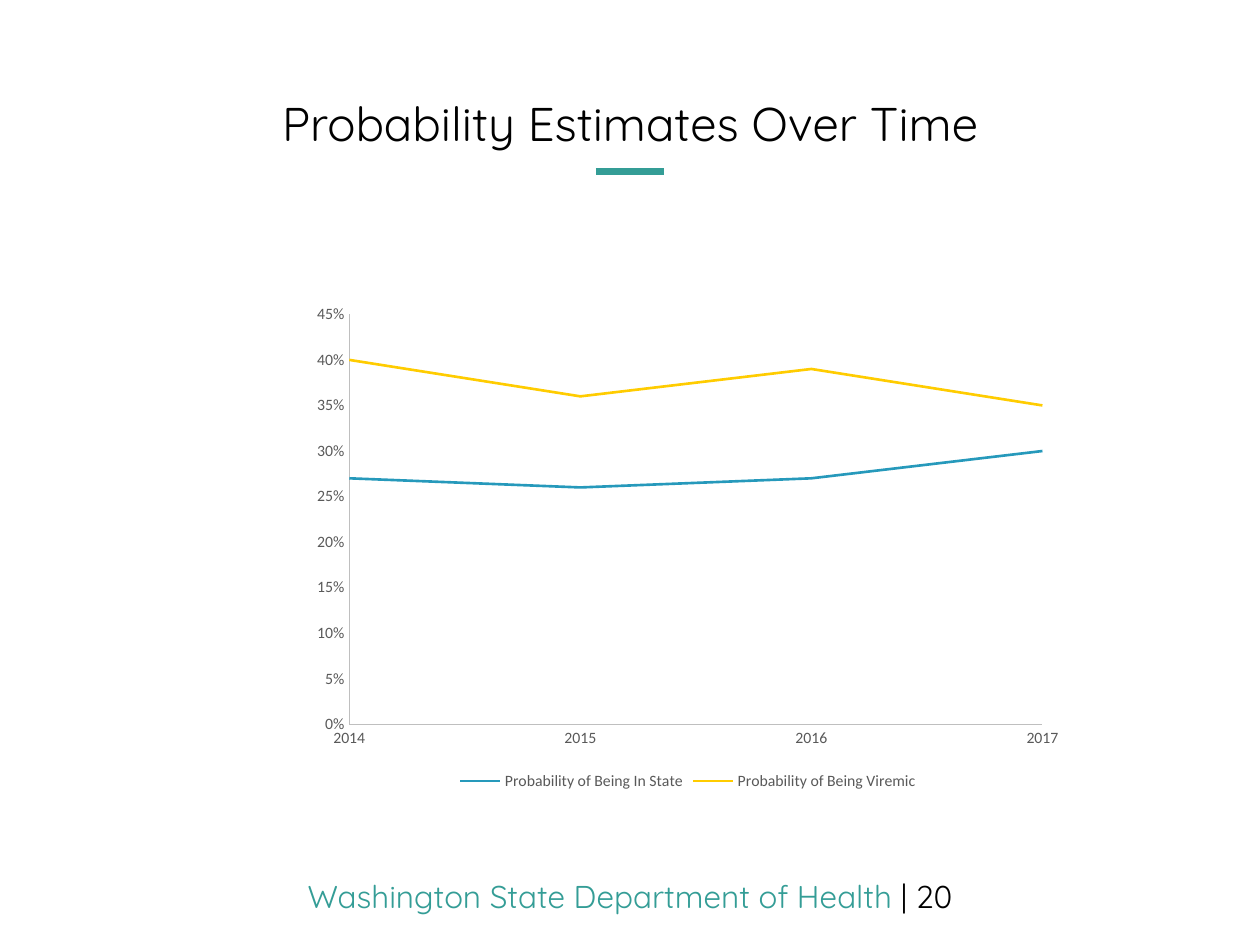
from lxml import etree
from pptx import Presentation
from pptx.chart.data import XyChartData
from pptx.dml.color import RGBColor
from pptx.enum.chart import XL_CHART_TYPE, XL_LEGEND_POSITION, XL_TICK_MARK
from pptx.enum.shapes import MSO_CONNECTOR
from pptx.enum.text import MSO_ANCHOR, PP_ALIGN
from pptx.oxml.ns import qn
from pptx.util import Cm, Pt

SCATTER = XL_CHART_TYPE.XY_SCATTER_LINES_NO_MARKERS
BOTTOM = XL_LEGEND_POSITION.BOTTOM
NO_TICK = XL_TICK_MARK.NONE
STRAIGHT = MSO_CONNECTOR.STRAIGHT
CENTER = PP_ALIGN.CENTER
MIDDLE = MSO_ANCHOR.MIDDLE

COLORS = {
    "teal": "349D96", "black": "000000", "label": "595959",
    "axis": "BFBFBF", "in_state": "2699BB", "viremic": "FFCC00",
}
HEADING_FONT = "Quicksand"
CHART_FONT = "Calibri"
SLIDE_W, SLIDE_H = 25.4, 19.05

YEARS = [2014, 2015, 2016, 2017]
SERIES = [
    ("Probability of Being In State", "in_state", [0.27, 0.26, 0.27, 0.3]),
    ("Probability of Being Viremic", "viremic", [0.4, 0.36, 0.39, 0.35]),
]


def rgb(name):
    return RGBColor.from_string(COLORS[name])


def style_font(font, name, size, color):
    font.name = name
    font.size = Pt(size)
    font.color.rgb = rgb(color)


def style_line(line, color, width):
    line.color.rgb = rgb(color)
    line.width = Pt(width)


def add_title(slide, text, left, top, width, height):
    """Fill the title placeholder and centre a short rule below it."""
    title = slide.shapes.title
    title.left, title.top = Cm(left), Cm(top)
    title.width, title.height = Cm(width), Cm(height)
    tf = title.text_frame
    tf.text = text
    tf.vertical_anchor = MIDDLE
    p = tf.paragraphs[0]
    p.alignment = CENTER
    p.line_spacing = 0.9
    style_font(p.font, HEADING_FONT, 27, "black")

    rule_w = 1.38
    x, y = left + (width - rule_w) / 2, top + height + 0.24
    rule = slide.shapes.add_connector(STRAIGHT, Cm(x), Cm(y), Cm(x + rule_w), Cm(y))
    style_line(rule.line, "teal", 4)
    etree.SubElement(rule._element.spPr, qn("a:effectLst"))


def add_footer(slide, left, top, width, height):
    box = slide.shapes.add_textbox(Cm(left), Cm(top), Cm(width), Cm(height))
    box.text_frame.word_wrap = True
    p = box.text_frame.paragraphs[0]
    p.alignment = CENTER
    p.font.name = HEADING_FONT
    p.font.size = Pt(18)
    for text, color in (("Washington State Department of Health ", "teal"),
                        ("| 20", "black")):
        r = p.add_run()
        r.text = text
        r.font.color.rgb = rgb(color)


def style_axis(axis, low, high, step, number_format):
    axis.minimum_scale, axis.maximum_scale = low, high
    axis.major_unit = step
    axis.has_major_gridlines = False
    axis.major_tick_mark = axis.minor_tick_mark = NO_TICK
    axis.tick_labels.number_format = number_format
    axis.tick_labels.number_format_is_linked = False
    style_font(axis.tick_labels.font, CHART_FONT, 9, "label")
    style_line(axis.format.line, "axis", 0.75)


def add_probability_chart(slide, left, top, width, height):
    data = XyChartData()
    for name, _, values in SERIES:
        series = data.add_series(name)
        for year, value in zip(YEARS, values):
            series.add_data_point(year, value)
    chart = slide.shapes.add_chart(
        SCATTER, Cm(left), Cm(top), Cm(width), Cm(height), data).chart
    chart.has_title = False
    style_font(chart.font, CHART_FONT, 10, "black")
    style_axis(chart.category_axis, YEARS[0], YEARS[-1], 1, "0")
    style_axis(chart.value_axis, 0, 0.45, 0.05, "0%")

    chart.has_legend = True
    chart.legend.position = BOTTOM
    chart.legend.include_in_layout = False
    style_font(chart.legend.font, CHART_FONT, 9, "label")

    plot = chart.plots[0]
    plot.vary_by_categories = False
    for series, (_, color, _) in zip(plot.series, SERIES):
        style_line(series.format.line, color, 1.5)


def main():
    prs = Presentation()
    prs.slide_width, prs.slide_height = Cm(SLIDE_W), Cm(SLIDE_H)
    slide = prs.slides.add_slide(prs.slide_layouts.get_by_name("Title Only"))
    add_title(slide, "Probability Estimates Over Time", 0, 1.87, SLIDE_W, 1.35)
    add_probability_chart(slide, 6.08, 5.95, 15.57, 10.08)
    add_footer(slide, 0, 17.55, SLIDE_W, 1.02)
    prs.save("out.pptx")


if __name__ == "__main__":
    main()
